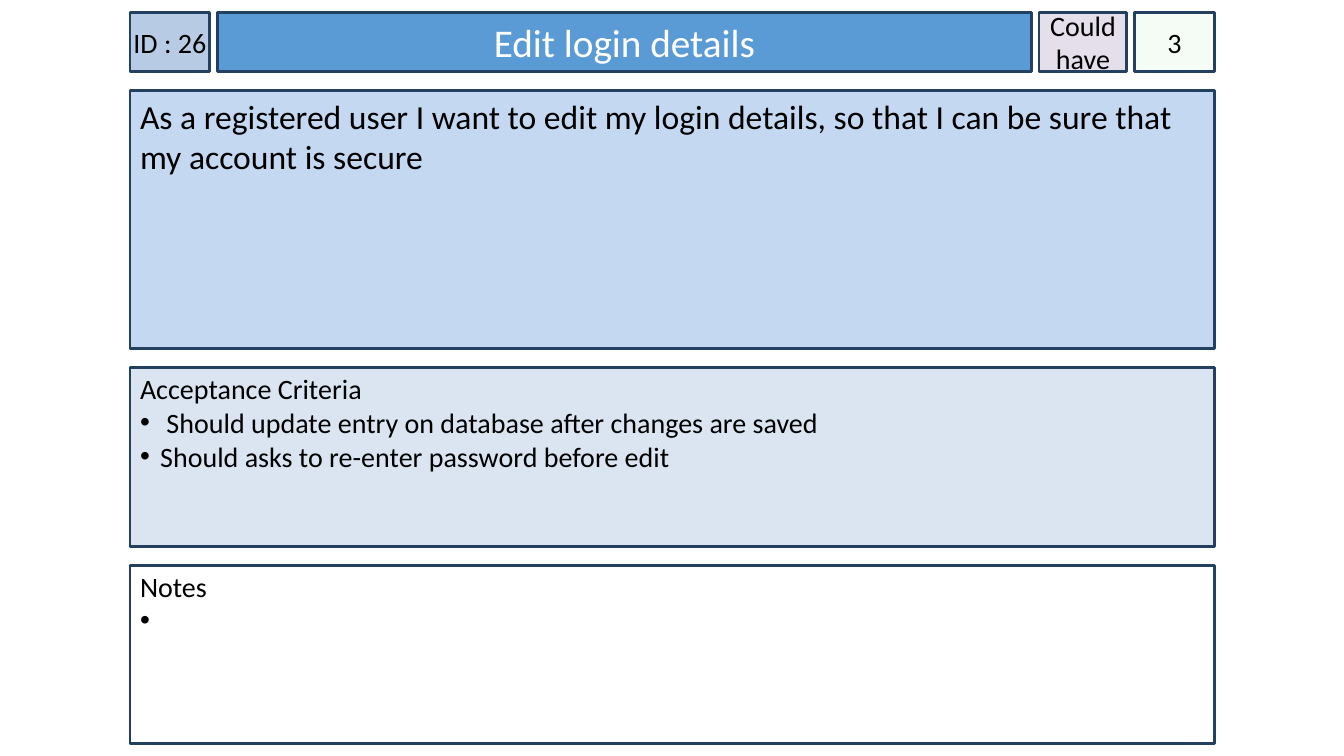
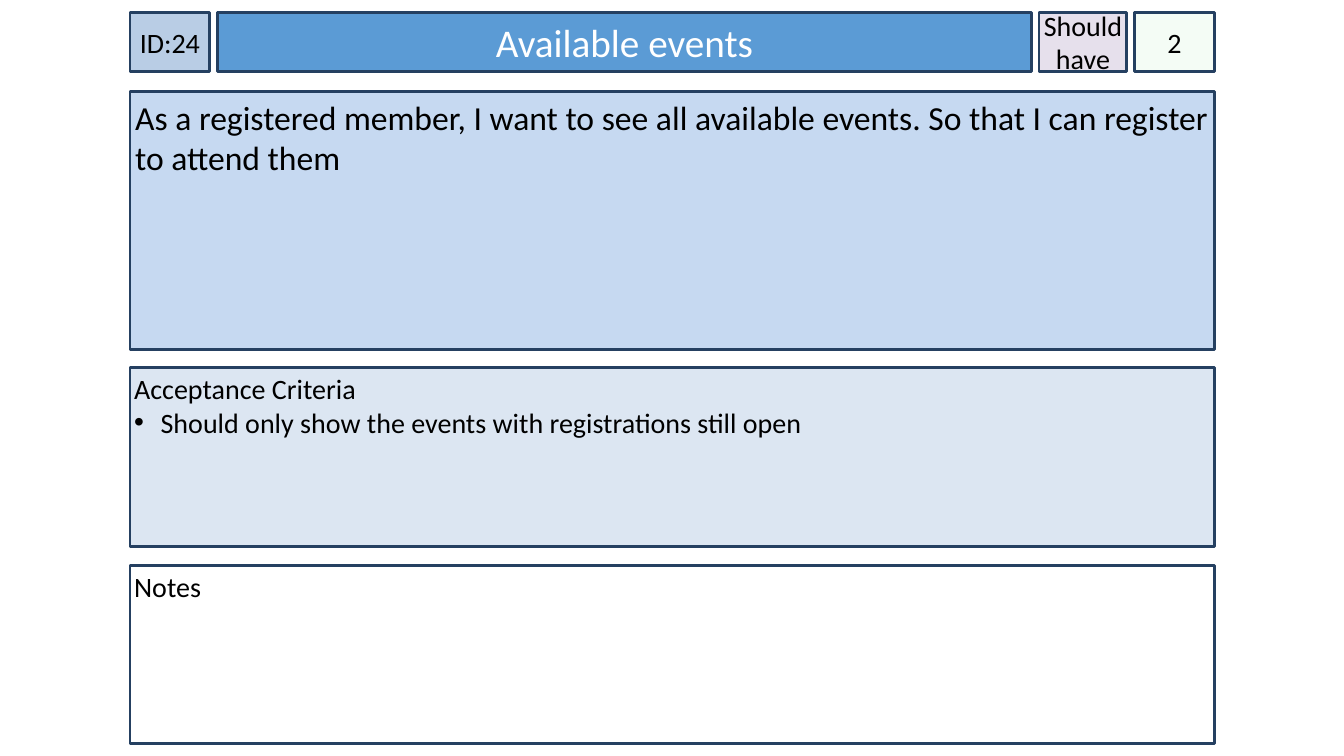
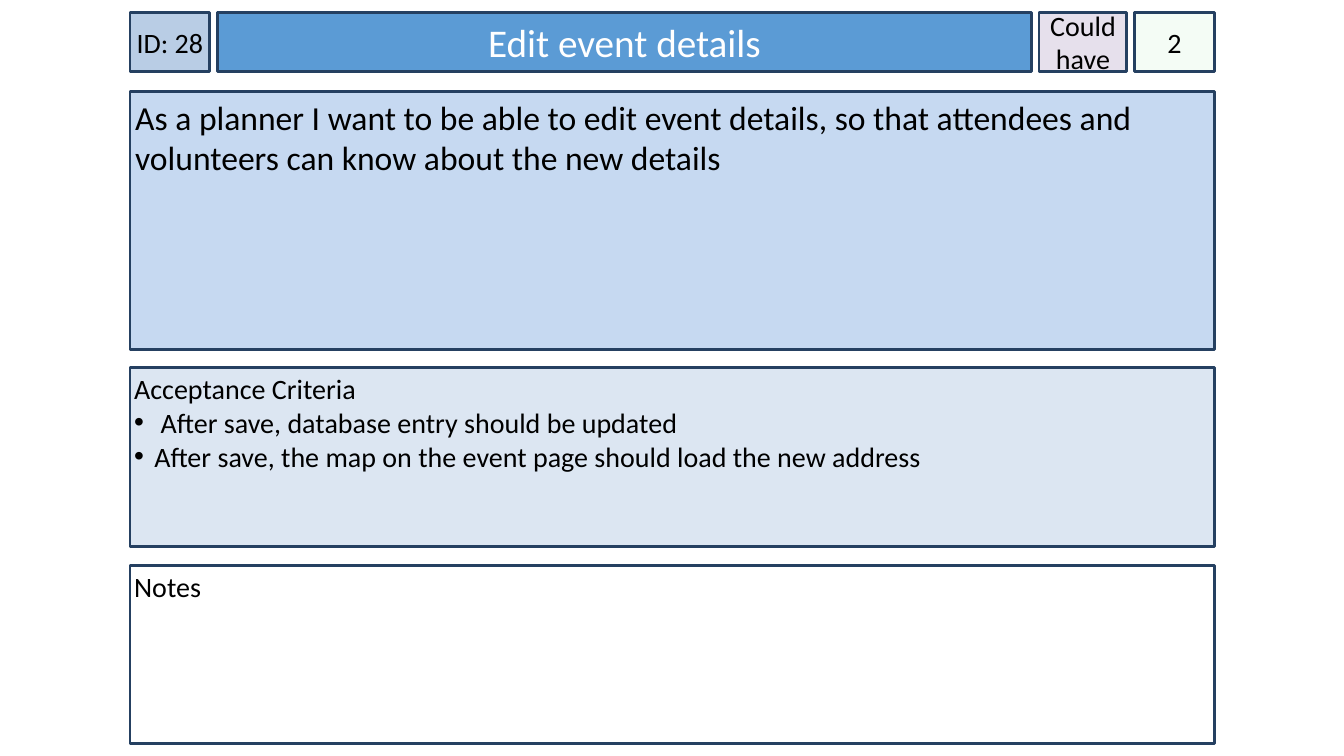
import pptx
import pptx.dml.color
import pptx.enum.shapes
import pptx.enum.text
import pptx.oxml
import pptx.oxml.ns
import pptx.util

COOL = {"line": "244061", "id": "B7CCE4", "story": "C5D8F1", "tests": "DAE5F1", "rank": "E5DFEC"}
WARM = {"line": "254061", "id": "B9CDE5", "story": "C6D9F1", "tests": "DCE6F2", "rank": "E6E0EC"}

CARDS = [
    {
        "tint": COOL, "inset": (0.1, 0.1), "drop": 0,
        "head": ("ID : 26", "Edit login details", "Could have", "3"),
        "story": "As a registered user I want to edit my login details, so that I can be sure that my account is secure",
        "tests": [" Should update entry on database after changes are saved",
                  "Should asks to re-enter password before edit"],
        "notes": [" "],
    },
    {
        "tint": WARM, "inset": (0.05, 0.04), "drop": 0.13,
        "head": ("ID:24", "Available events", "Should have", "2"),
        "story": "As a registered member, I want to see all available events. So that I can register to attend them",
        "tests": [" Should only show the events with registrations still open"],
        "notes": [],
    },
    {
        "tint": WARM, "inset": (0.05, 0.04), "drop": 0.13,
        "head": ("ID: 28", "Edit event details", "Could have", "2"),
        "story": "As a planner I want to be able to edit event details, so that attendees and volunteers can know about the new details",
        "tests": [" After save, database entry should be updated",
                  "After save, the map on the event page should load the new address"],
        "notes": [],
    },
]


def paint(code):
    return pptx.dml.color.RGBColor.from_string(code)


class Deck:
    FONT = "Calibri"
    BLACK, WHITE = "000000", "FFFFFF"
    BLUE, GREEN = "5B9BD5", "CCF0CD"
    LEFT, TOP = 9.68, 1.6
    COL_GAP, ROW_GAP = 0.58, 2.53
    COLS = (5.93, 60.54, 6.53, 5.93)
    ROWS = (7.87, 34.13, 23.6, 23.6)

    def __init__(self):
        self.prs = pptx.Presentation()
        self.prs.slide_width = pptx.util.Inches(13.33)
        self.prs.slide_height = pptx.util.Inches(7.5)

    def start(self, tint):
        self.tint = tint
        self.slide = self.prs.slides.add_slide(self.prs.slide_layouts[6])

    def place(self, col, row, span=1):
        left = self.LEFT + sum(self.COLS[:col]) + col * self.COL_GAP
        top = self.TOP + sum(self.ROWS[:row]) + row * self.ROW_GAP
        width = sum(self.COLS[col:col + span]) + (span - 1) * self.COL_GAP
        return left, top, width, self.ROWS[row]

    def box(self, spot, fill, alpha=None):
        wide, high = self.prs.slide_width, self.prs.slide_height
        sizes = [int(part * side / 100) for part, side in zip(spot, (wide, high, wide, high))]
        shape = self.slide.shapes.add_shape(pptx.enum.shapes.MSO_SHAPE.RECTANGLE, *sizes)
        shape.shadow.inherit = False
        shape.fill.solid()
        shape.fill.fore_color.rgb = paint(fill)
        shape.line.color.rgb = paint(self.tint["line"])
        shape.line.width = pptx.util.Pt(2)
        if alpha:
            tone = shape._element.spPr.find("/".join(
                pptx.oxml.ns.qn(tag) for tag in ("a:solidFill", "a:srgbClr")))
            tone.append(pptx.oxml.parse_xml(
                f'<a:alpha {pptx.oxml.ns.nsdecls("a")} val="{alpha * 1000}"/>'))
        return shape

    def frame(self, shape, anchor, side, top):
        frame = shape.text_frame
        frame.word_wrap = True
        frame.vertical_anchor = anchor
        frame.margin_left = frame.margin_right = pptx.util.Inches(side)
        frame.margin_top = frame.margin_bottom = pptx.util.Inches(top)
        return frame

    def text(self, para, words, size, color=BLACK, center=False):
        align = pptx.enum.text.PP_ALIGN
        para.alignment = align.CENTER if center else align.LEFT
        run = para.add_run()
        run.text = words
        run.font.name = self.FONT
        run.font.size = pptx.util.Pt(size)
        run.font.color.rgb = paint(color)

    def bullet(self, para):
        props = para._p.get_or_add_pPr()
        indent = pptx.util.Inches(0.2)
        props.set("marL", str(indent))
        props.set("indent", str(-indent))
        space = pptx.oxml.ns.nsdecls("a")
        for mark in (f'<a:buClr {space}><a:srgbClr val="{self.BLACK}"/></a:buClr>',
                     f'<a:buFont {space} typeface="Arial"/>',
                     f'<a:buChar {space} char="•"/>'):
            props.append(pptx.oxml.parse_xml(mark))

    def label(self, col, words, fill, size=20, color=BLACK, alpha=None):
        shape = self.box(self.place(col, 0), fill, alpha)
        frame = self.frame(shape, pptx.enum.text.MSO_ANCHOR.MIDDLE, 0, 0.05)
        self.text(frame.paragraphs[0], words, size, color, True)

    def panel(self, row, words, fill, size, side, top, items=(), drop=0):
        left, start, width, height = self.place(0, row, len(self.COLS))
        shape = self.box((left, start + drop, width, height), fill)
        frame = self.frame(shape, pptx.enum.text.MSO_ANCHOR.TOP, side, top)
        self.text(frame.paragraphs[0], words, size)
        for item in items:
            para = frame.add_paragraph()
            self.bullet(para)
            self.text(para, item, size)

    def card(self, data):
        tint = data["tint"]
        self.start(tint)
        code, title, rank, points = data["head"]
        wide, slim = data["inset"]
        self.label(0, code, tint["id"])
        self.label(1, title, self.BLUE, 28, self.WHITE)
        self.panel(1, data["story"], tint["story"], 24, wide, 0.05, drop=data["drop"])
        self.panel(2, "Acceptance Criteria", tint["tests"], 20, slim, 0.04, data["tests"])
        self.label(3, points, self.GREEN, alpha=20)
        self.label(2, rank, tint["rank"])
        self.panel(3, "Notes", self.WHITE, 20, slim, 0.04, data["notes"])


def main():
    deck = Deck()
    for data in CARDS:
        deck.card(data)
    deck.prs.save("out.pptx")


if __name__ == "__main__":
    main()
